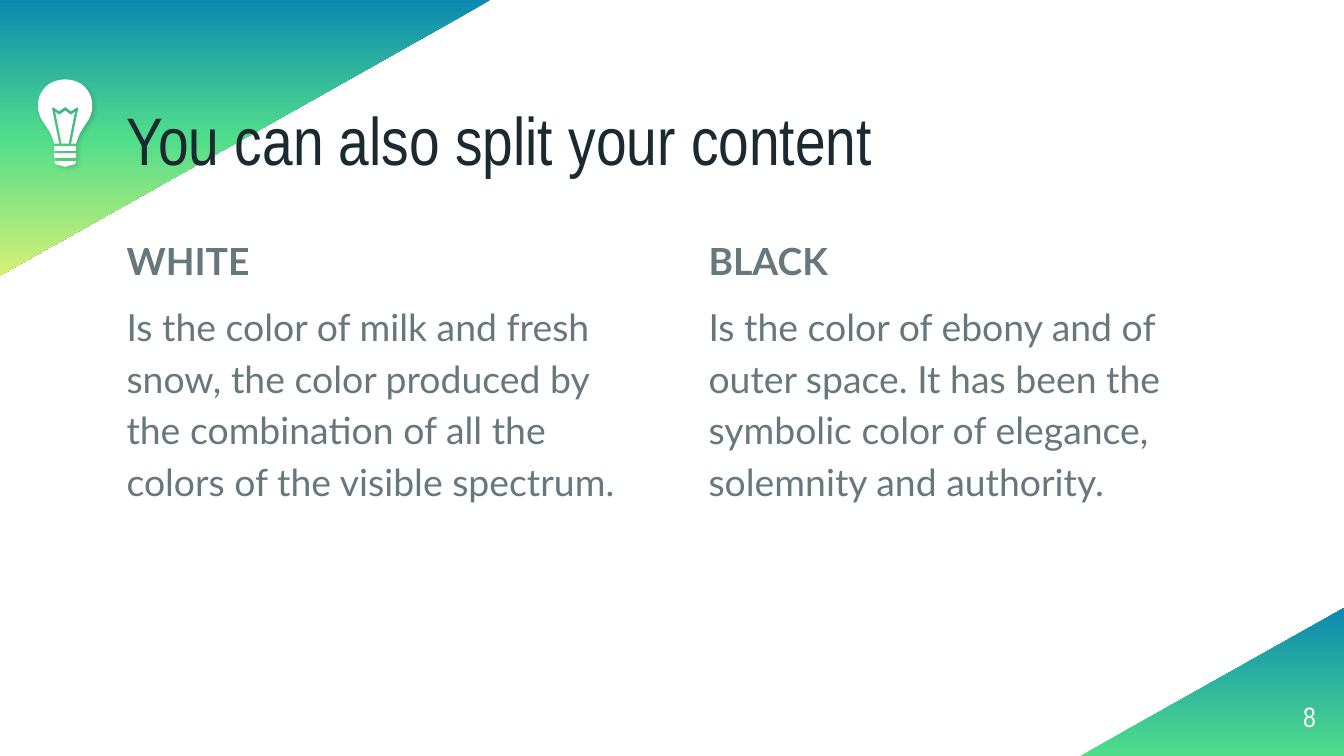
import copy

import lxml.etree
import pptx
import pptx.dml.color
import pptx.enum.shapes
import pptx.enum.text
import pptx.oxml
import pptx.oxml.ns
import pptx.util

Pt = pptx.util.Pt
RGBColor = pptx.dml.color.RGBColor
Align = pptx.enum.text.PP_ALIGN
Anchor = pptx.enum.text.MSO_ANCHOR

WHITE = RGBColor(0xFF, 0xFF, 0xFF)
INK = RGBColor(0x1A, 0x2A, 0x30)
GREY = RGBColor(0x66, 0x78, 0x7E)
BLUE = RGBColor(0x0D, 0x89, 0xB1)
GREEN = RGBColor(0x50, 0xDD, 0x8B)
LIME = RGBColor(0xD6, 0xF0, 0x75)

SHADOW = (
    f'<a:effectLst {pptx.oxml.ns.nsdecls("a")}>'
    f'<a:outerShdw blurRad="{Pt(2.25)}" dist="{Pt(1.5)}" dir="2700000" algn="bl" rotWithShape="0">'
    f'<a:srgbClr val="{INK}"><a:alpha val="20000"/></a:srgbClr>'
    '</a:outerShdw></a:effectLst>'
)

presentation = pptx.Presentation()
presentation.slide_width = Pt(720)
presentation.slide_height = Pt(405)
slide = presentation.slides.add_slide(presentation.slide_layouts[6])


def add_text(text, left, top, width, height, *, font, size, color, bold_first=False,
             align=Align.LEFT, anchor=Anchor.TOP, line_spacing=1.0, gap=0):
    """Add a text box with one paragraph for each line of text."""
    box = slide.shapes.add_textbox(Pt(left), Pt(top), Pt(width), Pt(height))
    frame = box.text_frame
    frame.word_wrap = True
    frame.vertical_anchor = anchor
    frame.margin_left = frame.margin_right = frame.margin_top = frame.margin_bottom = 0
    frame.text = text
    for index, paragraph in enumerate(frame.paragraphs):
        paragraph.alignment = align
        paragraph.line_spacing = line_spacing
        paragraph.space_before = Pt(gap if index else 0)
        paragraph.font.name = font
        paragraph.font.size = Pt(size)
        paragraph.font.color.rgb = color
        paragraph.font.bold = bold_first and index == 0


# Corner triangles: left, top, width, height before rotation, then gradient colours
triangles = [
    (57.6, -57.6, 147.6, 262.8, 90, [BLUE, GREEN, LIME]),
    (609.8, 294.8, 79.2, 141.2, 270, [GREEN, BLUE]),
]
for left, top, width, height, rotation, colors in triangles:
    triangle = slide.shapes.add_shape(
        pptx.enum.shapes.MSO_SHAPE.RIGHT_TRIANGLE, Pt(left), Pt(top), Pt(width), Pt(height))
    triangle.rotation = rotation
    triangle.shadow.inherit = False
    triangle.line.fill.background()
    triangle.fill.gradient()
    triangle.fill.gradient_angle = 0
    if len(colors) == 3:
        first_stop = triangle._element.spPr.find(".//" + pptx.oxml.ns.qn("a:gs"))
        first_stop.addnext(copy.deepcopy(first_stop))
    for index, (stop, color) in enumerate(zip(triangle.fill.gradient_stops, colors)):
        stop.position = index / (len(colors) - 1)
        stop.color.rgb = color

# Title, two columns and page number
add_text("You can also split your content", 67.8, 65.5, 586, 31, font="Arial Narrow",
         size=36, color=INK, anchor=Anchor.BOTTOM, line_spacing=0.9)
columns = [
    (67.8, "WHITE\nIs the color of milk and fresh snow, the color produced by "
           "the combination of all the colors of the visible spectrum."),
    (379.6, "BLACK\nIs the color of ebony and of outer space. It has been the "
            "symbolic color of elegance, solemnity and authority."),
]
for left, text in columns:
    add_text(text, left, 123.8, 273.6, 244, font="Lato", size=20, color=GREY,
             bold_first=True, line_spacing=1.15, gap=8)
add_text("8", 661.7, 368, 43.2, 31, font="Arial Narrow", size=15, color=WHITE,
         align=Align.RIGHT, anchor=Anchor.MIDDLE)

# Light bulb: right half of each outline, as offset from the axis and height on the slide
BULB_AXIS = 34.9
UNITS_PER_POINT = 100
half_outlines = [
    # Screw rings and base
    [(5.8, 82.1), (5.8, 84.8)],
    [(5.8, 78.3), (5.8, 80.9)],
    [(5.8, 86.3), (5.4, 87.7), (4.9, 88), (0.4, 89.3)],
    # Inside of the filament
    [(0, 59.3), (2.6, 61.2), (3.1, 61.4), (3.6, 61.2), (5.3, 59.9), (1.9, 77)],
    # Glass
    [(0, 42.5), (2.9, 42.8), (5.6, 43.5), (8.2, 44.7), (10.5, 46.5), (12.3, 48.8),
     (13.7, 51.4), (14.4, 54.3), (14.5, 56.9), (14.4, 59), (13.6, 61.8), (12.6, 64.1),
     (11.2, 66.2), (9, 69.5), (7.6, 72), (6.5, 74.9), (5.8, 77), (3.2, 77), (7, 58.2),
     (6.7, 57.6), (6.3, 57.6), (3.2, 59.6), (0.4, 57.6), (0, 57.5)],
]
bulb = slide.shapes.add_group_shape()
for half in half_outlines:
    outline = half + [(-offset, y) for offset, y in reversed(half)]
    points = [(round((BULB_AXIS + offset) * UNITS_PER_POINT), round(y * UNITS_PER_POINT))
              for offset, y in outline]
    builder = bulb.shapes.build_freeform(*points[0], scale=Pt(1) / UNITS_PER_POINT)
    builder.add_line_segments(points[1:], close=True)
    shape = builder.convert_to_shape()
    shape.fill.solid()
    shape.fill.fore_color.rgb = WHITE
    shape.line.fill.background()
    shape._element.spPr.append(pptx.oxml.parse_xml(SHADOW))

presentation.save("out.pptx")
